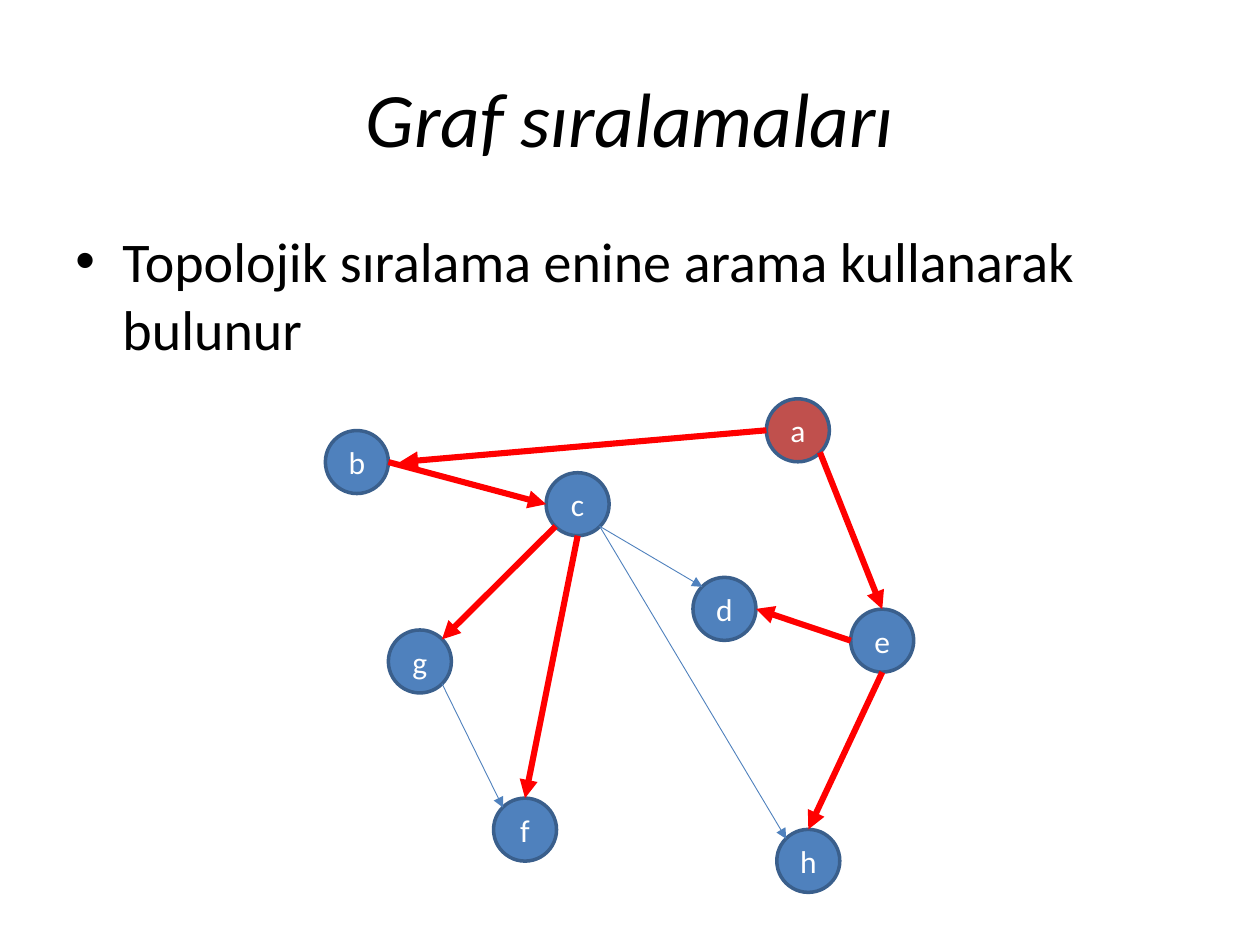
from lxml import etree
from pptx import Presentation
from pptx.dml.color import RGBColor
from pptx.enum.shapes import MSO_CONNECTOR, MSO_SHAPE
from pptx.enum.text import MSO_ANCHOR, PP_ALIGN
from pptx.oxml.ns import qn
from pptx.util import Cm, Pt

STRAIGHT = MSO_CONNECTOR.STRAIGHT
CIRCLE = MSO_SHAPE.FLOWCHART_CONNECTOR
MIDDLE = MSO_ANCHOR.MIDDLE
CENTER = PP_ALIGN.CENTER

BLACK = RGBColor(0x00, 0x00, 0x00)
WHITE = RGBColor(0xFF, 0xFF, 0xFF)
BLUE = RGBColor(0x4F, 0x81, 0xBD)
DARK_BLUE = RGBColor(0x3A, 0x5F, 0x8C)
BRICK = RGBColor(0xC0, 0x50, 0x4D)
RED = RGBColor(0xFF, 0x00, 0x00)


def write(frame, text, size, color):
    frame.word_wrap = True
    para = frame.paragraphs[0]
    para.text = text
    para.font.name = "Calibri"
    para.font.size = Pt(size)
    para.font.color.rgb = color
    return para


deck = Presentation()
deck.slide_width, deck.slide_height = Cm(25.4), Cm(19.05)
page = deck.slides.add_slide(deck.slide_layouts[6])

# Title
box = page.shapes.add_textbox(Cm(1.27), Cm(0.76), Cm(22.86), Cm(3.18))
box.text_frame.vertical_anchor = MIDDLE
para = write(box.text_frame, "Graf sıralamaları", 44, BLACK)
para.alignment = CENTER
para.font.italic = True

# Bulleted statement
box = page.shapes.add_textbox(Cm(1.27), Cm(4.45), Cm(22.86), Cm(12.57))
para = write(box.text_frame, "Topolojik sıralama enine arama kullanarak bulunur", 32, BLACK)
para.space_before = Pt(6.4)
props = para._p.get_or_add_pPr()
props.set("marL", str(Cm(0.95)))
props.set("indent", str(-Cm(0.95)))
etree.SubElement(props, qn("a:buFont")).set("typeface", "Arial")
etree.SubElement(props, qn("a:buChar")).set("char", "•")
# The default run properties must come after the bullet
props.append(props.find(qn("a:defRPr")))

# Graph nodes: left and top in centimetres
DIAMETER = 1.27
nodes = {
    "b": (6.56, 8.68), "c": (11.01, 9.53), "g": (7.83, 12.7), "d": (13.97, 11.64),
    "a": (15.45, 8.04), "e": (17.15, 12.28), "f": (9.95, 16.09), "h": (15.66, 16.72),
}
graph = page.shapes.add_group_shape()
for name, (left, top) in nodes.items():
    node = graph.shapes.add_shape(CIRCLE, Cm(left), Cm(top), Cm(DIAMETER), Cm(DIAMETER))
    node.shadow.inherit = False
    node.fill.solid()
    node.fill.fore_color.rgb = BRICK if name == "a" else BLUE
    node.line.color.rgb = DARK_BLUE
    node.line.width = Pt(2)
    frame = node.text_frame
    frame.margin_left = frame.margin_right = 0
    frame.vertical_anchor = MIDDLE
    write(frame, name, 18, WHITE).alignment = CENTER

# Points on a node's rim, as shares of its diameter
RIM = {
    "top": (0.5, 0), "bottom": (0.5, 1), "left": (0, 0.5), "right": (1, 0.5),
    "top left": (0.15, 0.15), "top right": (0.85, 0.15),
    "bottom left": (0.15, 0.85), "bottom right": (0.85, 0.85),
    "right gap": (1.18, 0.5),
}

# Edges: red ones belong to the search tree
edges = [
    ("b", "right", "c", "left", True),
    ("c", "bottom right", "d", "top left", False),
    ("c", "bottom left", "g", "top right", True),
    ("c", "bottom", "f", "top", True),
    ("g", "bottom right", "f", "top left", False),
    ("e", "left", "d", "right", True),
    ("a", "bottom right", "e", "top", True),
    ("e", "bottom", "h", "top", True),
    ("a", "left", "b", "right gap", True),
    ("c", "bottom right", "h", "top left", False),
]
for source, start, target, end, in_tree in edges:
    points = [
        Cm(corner + share * DIAMETER)
        for name, side in ((source, start), (target, end))
        for corner, share in zip(nodes[name], RIM[side])
    ]
    edge = graph.shapes.add_connector(STRAIGHT, *points)
    edge.line.color.rgb = RED if in_tree else BLUE
    edge.line.width = Pt(3.5 if in_tree else 0.5)
    etree.SubElement(edge.line._get_or_add_ln(), qn("a:tailEnd")).set("type", "triangle")
    etree.SubElement(edge._element.spPr, qn("a:effectLst"))

deck.save("out.pptx")
